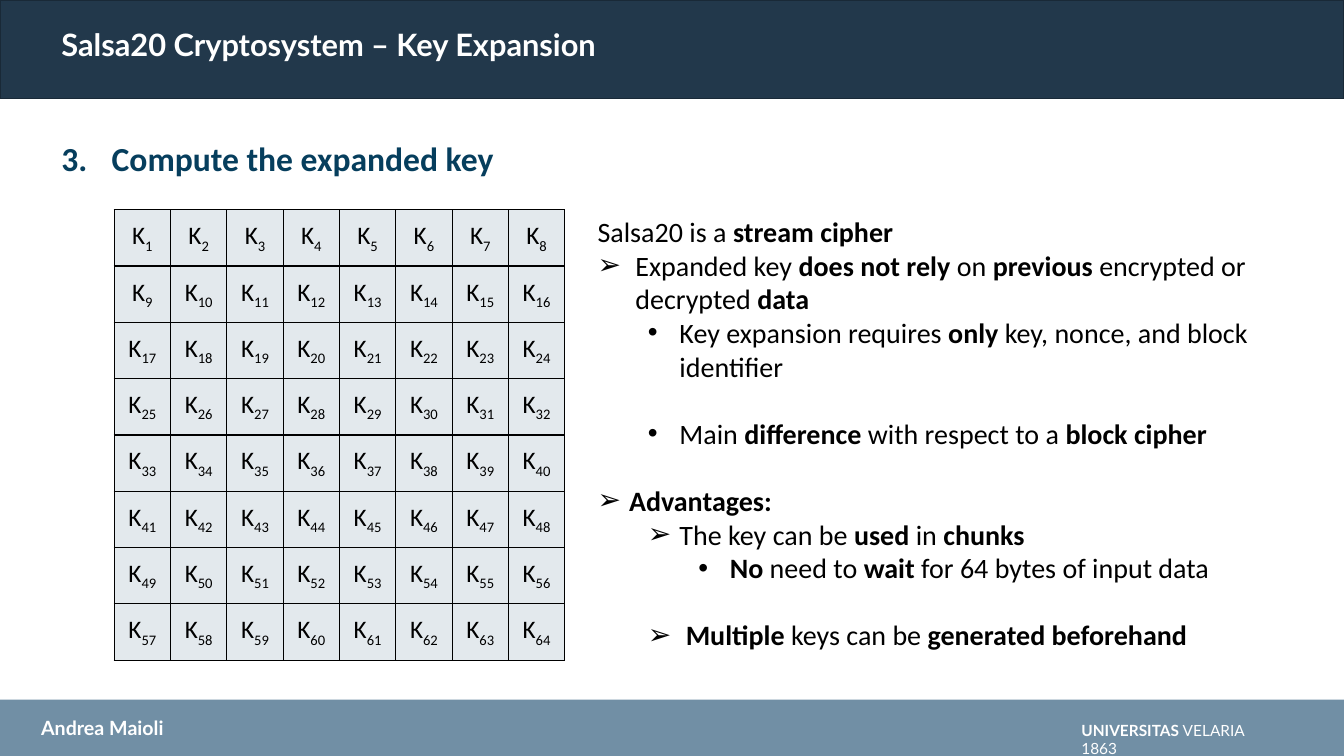
"""Build the Salsa20 key expansion slide with its key table and cipher notes."""
from dataclasses import dataclass
from typing import Any

from lxml import etree
from pptx import Presentation
from pptx import util as u
from pptx.dml.color import RGBColor
from pptx.enum import shapes, text
from pptx.oxml import ns

WHITE = RGBColor(0xFF, 0xFF, 0xFF)
BLACK = RGBColor(0x00, 0x00, 0x00)
HEADER_FILL = RGBColor(0x22, 0x38, 0x4B)
HEADER_LINE = RGBColor(0x19, 0x29, 0x37)
FOOTER_FILL = RGBColor(0x71, 0x8F, 0xA5)
HEADING_BLUE = RGBColor(0x06, 0x3E, 0x5D)
CELL_FILL = RGBColor(0xE3, 0xE9, 0xED)

SLIDE_WIDTH, SLIDE_HEIGHT = 960, 540
GRID_SIZE, CELL_SIZE = 8, 40.23
BLANK_LINE = 24
ARROW, DOT = "➢", "•"


@dataclass(frozen=True)
class Box:
    left: float
    top: float
    width: float
    height: float

    def lengths(self) -> tuple[u.Length, ...]:
        return tuple(u.Pt(v) for v in (self.left, self.top, self.width, self.height))


@dataclass(frozen=True)
class Style:
    name: str
    size: float
    color: RGBColor


@dataclass(frozen=True)
class Line:
    """A paragraph whose bold passages stand between asterisks."""
    words: str
    bullet: str = ""
    level: int = 0
    margin: float = 0
    hanging: float = 0
    before: float = 0
    spacing: float = 1.0


@dataclass(frozen=True)
class Bar:
    box: Box
    fill: RGBColor
    line: RGBColor | None = None


@dataclass(frozen=True)
class Label:
    box: Box
    style: Style
    lines: tuple[Line, ...]


BODY = Style("Calibri", 20, BLACK)
CELL = Style("Calibri", 18, BLACK)
TITLE = Label(Box(36.72, 18, 442.8, 26), Style("Lato", 22, WHITE),
              (Line("*Salsa20 Cryptosystem – Key Expansion*", spacing=0.9),))

BARS = (
    Bar(Box(0, 499.7, SLIDE_WIDTH, 40.3), FOOTER_FILL),
    Bar(Box(0, 0, SLIDE_WIDTH, 70.56), HEADER_FILL, HEADER_LINE),
)

LABELS = (
    Label(Box(765.36, 511.2, 150, 20.9), Style("Lato", 11, WHITE),
          (Line("*UNIVERSITAS* VELARIA 1863"),)),
    Label(Box(22.32, 507.6, 220.3, 24.5), Style("Lato", 14, WHITE),
          (Line("*Andrea Maioli*"),)),
    Label(Box(36.72, 95.04, 869, 36), Style("Calibri", 24, HEADING_BLUE),
          (Line("*Compute the expanded key*", "3.", margin=36, hanging=36),)),
    Label(Box(419.76, 149.76, 521.3, 326), BODY, (
        Line("Salsa20 is a *stream cipher*"),
        Line("Expanded key *does not rely* on *previous* encrypted or decrypted *data*",
             ARROW, 0, 27, 27),
        Line("Key expansion requires *only* key, nonce, and block identifier",
             DOT, 1, 58.5, 22.5),
        Line("Main *difference* with respect to a *block cipher*",
             DOT, 1, 58.5, 22.5, BLANK_LINE),
        Line("*Advantages:*", ARROW, 0, 22.5, 22.5, BLANK_LINE),
        Line("The key can be *used* in *chunks*", ARROW, 1, 58.5, 22.5),
        Line("*No* need to *wait* for 64 bytes of input data", DOT, 2, 94.5, 22.5),
        Line("*Multiple* keys can be *generated beforehand*",
             ARROW, 1, 63, 27, BLANK_LINE),
    )),
)


def assign(target: Any, values: dict[str, Any]) -> None:
    for name, value in values.items():
        setattr(target, name, value)


def add_child(parent: Any, tag: str, **attributes: str) -> Any:
    return etree.SubElement(parent, ns.qn(tag), attributes)


def add_run(paragraph: Any, words: str, style: Style, bold: bool = False) -> Any:
    run = paragraph.add_run()
    run.text = words
    assign(run.font, {"name": style.name, "size": u.Pt(style.size), "bold": bold})
    run.font.color.rgb = style.color
    return run


def write_line(paragraph: Any, line: Line, style: Style) -> None:
    assign(paragraph, {
        "level": line.level,
        "alignment": text.PP_ALIGN.LEFT,
        "line_spacing": line.spacing,
        "space_before": u.Pt(line.before),
        "space_after": u.Pt(0),
    })
    properties = paragraph._p.get_or_add_pPr()
    properties.set("marL", str(u.Pt(line.margin)))
    properties.set("indent", str(-u.Pt(line.hanging)))
    if line.bullet in (ARROW, DOT):
        add_child(properties, "a:buFont", typeface="Arial")
        add_child(properties, "a:buChar", char=line.bullet)
    elif line.bullet:
        add_child(properties, "a:buAutoNum", type="arabicPeriod",
                  startAt=line.bullet.rstrip("."))
    for index, words in enumerate(line.words.split("*")):
        if words:
            add_run(paragraph, words, style, bold=index % 2 == 1)


def write_label(shape: Any, label: Label) -> None:
    frame = shape.text_frame
    assign(frame, {
        "word_wrap": True,
        "auto_size": text.MSO_AUTO_SIZE.NONE,
        "vertical_anchor": text.MSO_ANCHOR.TOP,
    })
    for index, line in enumerate(label.lines):
        paragraph = frame.add_paragraph() if index else frame.paragraphs[0]
        write_line(paragraph, line, label.style)


def add_bar(slide: Any, bar: Bar) -> None:
    shape = slide.shapes.add_shape(shapes.MSO_SHAPE.RECTANGLE, *bar.box.lengths())
    shape.shadow.inherit = False
    shape.fill.solid()
    shape.fill.fore_color.rgb = bar.fill
    if bar.line is None:
        shape.line.fill.background()
    else:
        shape.line.color.rgb = bar.line
        shape.line.width = u.Pt(1)


def format_key_cell(cell: Any, number: int) -> None:
    cell.fill.solid()
    cell.fill.fore_color.rgb = CELL_FILL
    cell.vertical_anchor = text.MSO_ANCHOR.MIDDLE
    properties = cell._tc.get_or_add_tcPr()
    for position, side in enumerate(("a:lnL", "a:lnR", "a:lnT", "a:lnB")):
        border = add_child(properties, side, w=str(u.Pt(1)))
        add_child(add_child(border, "a:solidFill"), "a:srgbClr", val=str(BLACK))
        properties.insert(position, border)
    paragraph = cell.text_frame.paragraphs[0]
    paragraph.alignment = text.PP_ALIGN.CENTER
    add_run(paragraph, "K", CELL)
    subscript = add_run(paragraph, str(number), CELL)
    subscript.font._element.set("baseline", "-25000")


def add_key_table(slide: Any) -> None:
    side = GRID_SIZE * CELL_SIZE
    box = Box(81.6, 149.76, side, side)
    table = slide.shapes.add_table(GRID_SIZE, GRID_SIZE, *box.lengths()).table
    assign(table, {"first_row": False, "horz_banding": False})
    for column in table.columns:
        column.width = u.Pt(CELL_SIZE)
    for row in table.rows:
        row.height = u.Pt(CELL_SIZE)
    for number, cell in enumerate(table.iter_cells(), start=1):
        format_key_cell(cell, number)


def main() -> None:
    presentation = Presentation()
    assign(presentation, {"slide_width": u.Pt(SLIDE_WIDTH),
                          "slide_height": u.Pt(SLIDE_HEIGHT)})
    slide = presentation.slides.add_slide(presentation.slide_layouts[5])
    for bar in BARS:
        add_bar(slide, bar)
    add_key_table(slide)
    title = slide.shapes.title
    assign(title, dict(zip(("left", "top", "width", "height"), TITLE.box.lengths())))
    write_label(title, TITLE)
    slide.shapes._spTree.append(title._element)
    for label in LABELS:
        write_label(slide.shapes.add_textbox(*label.box.lengths()), label)
    presentation.save("out.pptx")


if __name__ == "__main__":
    main()
